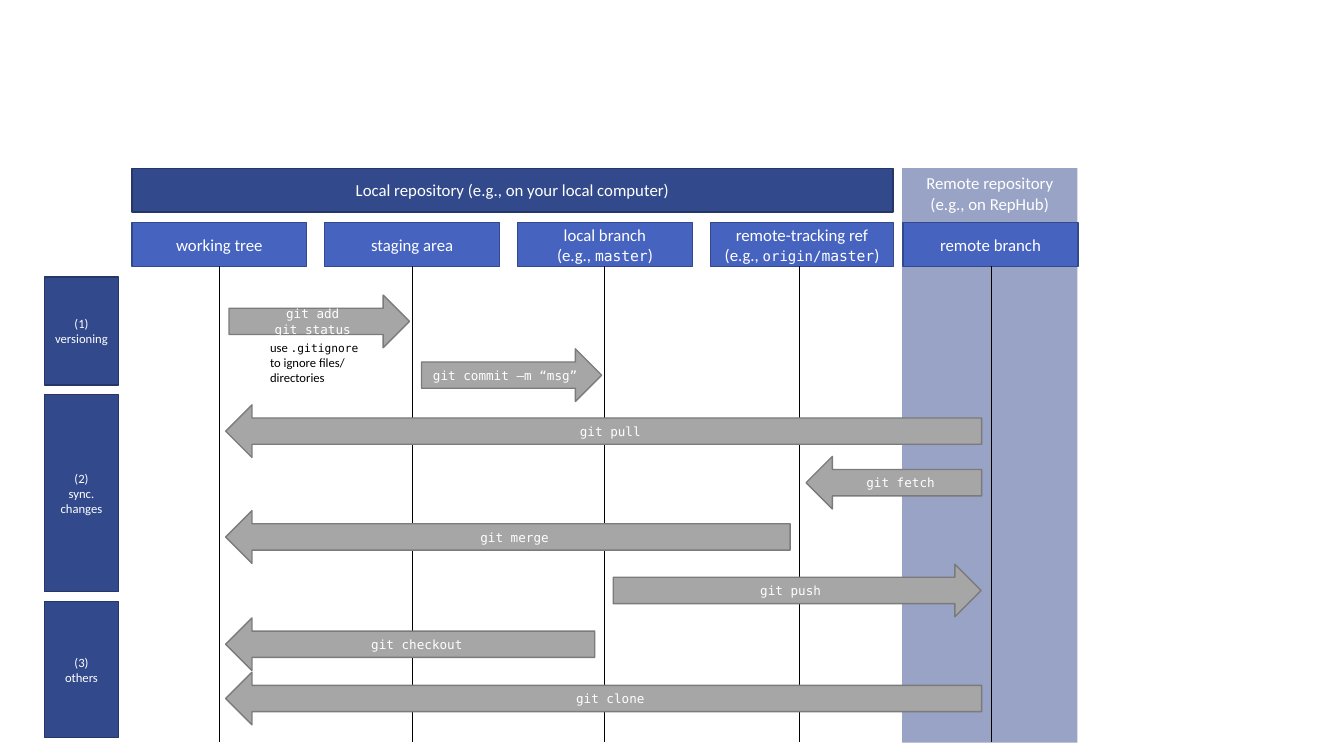
from lxml import etree
from pptx import Presentation
from pptx.dml.color import RGBColor
from pptx.enum import shapes, text
from pptx.oxml.ns import qn
from pptx.util import Pt

NAVY = RGBColor(0x32, 0x49, 0x8C)
DARK = RGBColor(0x25, 0x36, 0x68)
BLUE = RGBColor(0x45, 0x63, 0xBF)
EDGE = RGBColor(0x33, 0x49, 0x8D)
GREY = RGBColor(0xA6, 0xA6, 0xA6)
RIM = RGBColor(0x7B, 0x7B, 0x7B)
WHITE = RGBColor(0xFF, 0xFF, 0xFF)
BLACK = RGBColor(0, 0, 0)
SANS, MONO = "Calibri", "DejaVu Sans Mono"
KIND = shapes.MSO_SHAPE
CENTER = text.PP_ALIGN.CENTER

# Content: a label is a list of lines, a line is a string or a list of runs,
# a run is a string or (text, font, size)
LOCAL = ["Local repository (e.g., on your local computer)"]
REMOTE = ["Remote repository (e.g., on RepHub)"]
# label, width, lifeline x
LANES = [
    (["working tree"], 124.8, 157),
    (["staging area"], 124.8, 294.5),
    (["local branch", ["(e.g., ", ("master", MONO, 10.5), ")"]], 124.8, 431.4),
    (["remote-tracking ref", ["(e.g., ", ("origin/", MONO, 10),
                              ("master", MONO, 10.5), ")"]], 131, 571),
    (["remote branch"], 124.8, 707.8),
]
# label, top, height
STAGES = [
    (["(1)", "versioning"], 198, 77),
    (["(2)", "sync. changes"], 282, 140.5),
    (["(3)", "others"], 429.8, 97),
]
# label, top, start lane, end lane, gap between tip and lifeline
MOVES = [
    (["git add", "git status"], 210.8, 0, 1, 2),
    (["git commit \u2013m \u201cmsg\u201d"], 249.2, 1, 2, 1.6),
    (["git push"], 403, 2, 4, 7),
    (["git fetch"], 326, 4, 3, 4.8),
    (["git pull"], 289.2, 4, 0, 4.2),
    (["git merge"], 364.8, 3, 0, 4.2),
    (["git checkout"], 441.4, 2, 0, 4.2),
    (["git clone"], 480.2, 4, 0, 4.2),
]
NOTE = [["use ", (".gitignore", MONO, 8)], "to ignore files/", "directories"]

# Grid
LEFT, STEP = 94.3, 137.7
TOP, HEAD, TALL, FOOT = 120.2, 159, 31.2, 530
TAIL, THICK = 6.6, 37.6

deck = Presentation()
deck.slide_width, deck.slide_height = Pt(960), Pt(540)
slide = deck.slides.add_slide(deck.slide_layouts[6])


def write(frame, lines, size, font=SANS, ink=WHITE, align=CENTER):
    for i, line in enumerate(lines):
        para = frame.add_paragraph() if i else frame.paragraphs[0]
        para.alignment = align
        for part in [line] if isinstance(line, str) else line:
            word, face, pts = (part, font, size) if isinstance(part, str) else part
            run = para.add_run()
            run.text = word
            for key, val in {"name": face, "size": Pt(pts)}.items():
                setattr(run.font, key, val)
            run.font.color.rgb = ink


def box(lines, x, y, w, h, fill, line=None, size=12, font=SANS,
        kind=KIND.RECTANGLE, **form):
    shape = slide.shapes.add_shape(kind, Pt(x), Pt(y), Pt(w), Pt(h))
    shape.shadow.inherit = False
    shape.fill.solid()
    shape.fill.fore_color.rgb = fill
    if line is None:
        shape.line.fill.background()
    else:
        shape.line.color.rgb = line
        shape.line.width = Pt(1)
    frame = shape.text_frame
    base = {"word_wrap": True, "vertical_anchor": text.MSO_ANCHOR.MIDDLE}
    for key, val in {**base, **form}.items():
        setattr(frame, key, val)
    write(frame, lines, size, font)
    return shape


# Remote band, half transparent
band = box(REMOTE, 644.4, TOP, 125.3, 410.4, NAVY,
           vertical_anchor=text.MSO_ANCHOR.TOP)
tint = band.fill._xPr.find(".//" + qn("a:srgbClr"))
etree.SubElement(tint, qn("a:alpha"), val="50000")

# Lane headers
for i, (label, wide, mid) in enumerate(LANES):
    box(label, LEFT + i * STEP, HEAD, wide, TALL, BLUE, EDGE)

# Lifelines
for label, wide, mid in LANES:
    rule = slide.shapes.add_connector(
        shapes.MSO_CONNECTOR.STRAIGHT, Pt(mid), Pt(HEAD + TALL), Pt(mid), Pt(FOOT))
    rule.line.color.rgb = BLACK
    rule.line.width = Pt(0.5)
    etree.SubElement(rule._element.spPr, qn("a:effectLst"))

# Command arrows
for label, y, start, end, gap in MOVES:
    way = 1 if end > start else -1
    tail = LANES[start][2] + way * TAIL
    tip = LANES[end][2] - way * gap
    box(label, min(tail, tip), y, abs(tip - tail), THICK, GREY, RIM, 9, MONO,
        KIND.RIGHT_ARROW if way > 0 else KIND.LEFT_ARROW)

# Stages and local repository bar
for label, y, h in STAGES:
    box(label, 31.7, y, 53, h, NAVY, DARK, 9, margin_left=Pt(5), margin_right=Pt(5))
box(LOCAL, LEFT, TOP, 543.6, TALL, NAVY, DARK)

# Ignore note
note = slide.shapes.add_textbox(Pt(185.8), Pt(239), Pt(80.6), Pt(40.3))
note.text_frame.word_wrap = False
write(note.text_frame, NOTE, 9, ink=BLACK, align=text.PP_ALIGN.LEFT)

deck.save("out.pptx")
